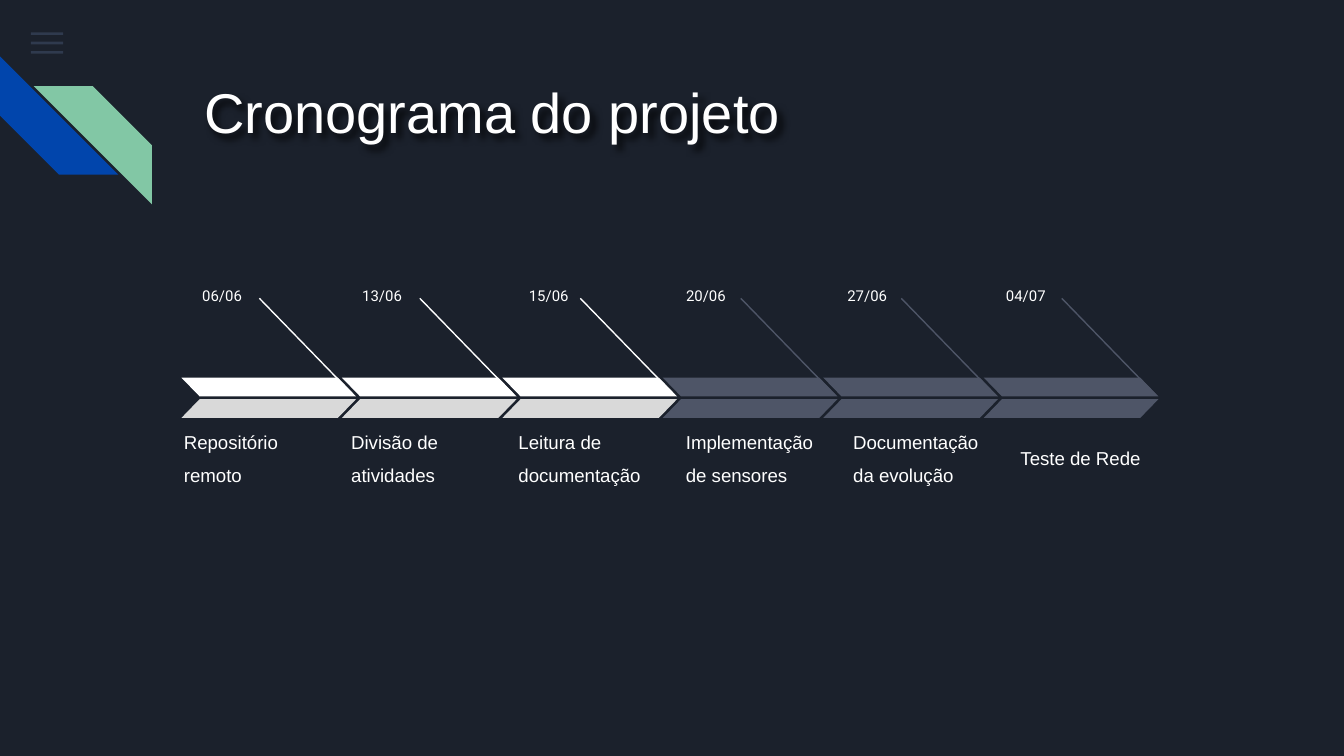
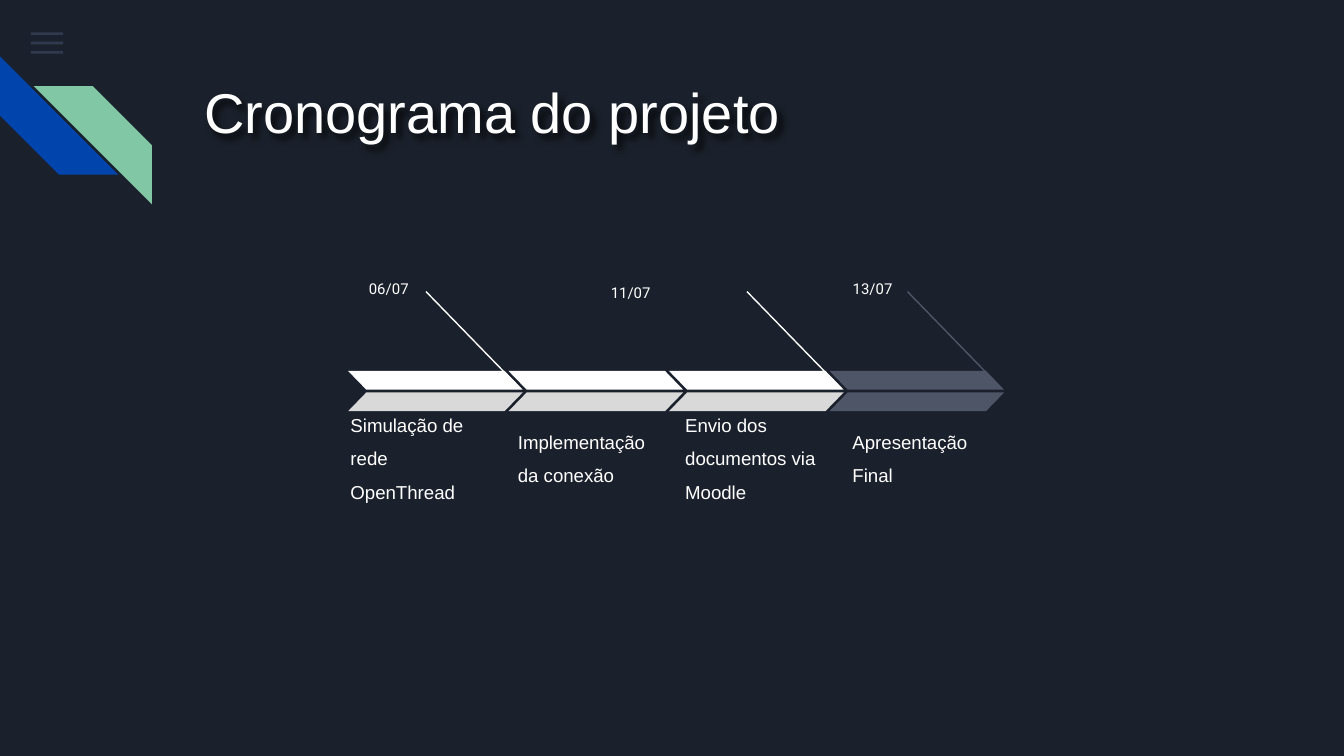
import lxml.etree
import pptx
import pptx.dml.color
import pptx.enum.shapes
import pptx.enum.text
import pptx.oxml.ns
import pptx.util

Color = pptx.dml.color.RGBColor
Kind = pptx.enum.shapes.MSO_SHAPE
Align = pptx.enum.text.PP_ALIGN
Anchor = pptx.enum.text.MSO_ANCHOR
qn = pptx.oxml.ns.qn

NIGHT = Color(0x1B, 0x21, 0x2C)
STEEL = Color(0x55, 0x68, 0x8B)
BLUE = Color(0x01, 0x45, 0xAC)
GREEN = Color(0x82, 0xC7, 0xA5)
WHITE = Color(0xFF, 0xFF, 0xFF)
PALE = Color(0xD9, 0xD9, 0xD9)
SLATE = Color(0x4E, 0x55, 0x67)

# Upper band, lower band and stem share a tone
DONE = (WHITE, PALE)
NEXT = (SLATE, SLATE)

# The slide is a grid of 100 columns by 56.25 rows
WIDE = pptx.util.Inches(10)
HIGH = pptx.util.Inches(5.625)
COLS, ROWS = 100, 56.25

STEP = 11.94  # columns from one arrow to the next
PITCH = 12.45  # columns from one label to the next


def across(cols):
    return round(WIDE * cols / COLS)


def down(rows):
    return round(HIGH * rows / ROWS)


def place(left, top, width, height):
    return across(left), down(top), across(width), down(height)


def write(frame, text, size=10, font="Arial", color=WHITE,
          align=Align.LEFT, anchor=Anchor.TOP, space=1.0):
    frame.word_wrap = True
    frame.auto_size = pptx.enum.text.MSO_AUTO_SIZE.NONE
    frame.vertical_anchor = anchor
    frame.margin_left = frame.margin_right = across(1)
    frame.margin_top = frame.margin_bottom = down(1)
    para = frame.paragraphs[0]
    para.alignment = align
    para.line_spacing = space
    run = para.add_run()
    run.text = text
    run.font.size = pptx.util.Pt(size)
    run.font.name = font
    run.font.color.rgb = color


def label(slide, box, text, **style):
    write(slide.shapes.add_textbox(*place(*box)).text_frame, text, **style)


def draw(slide, kind, box, color, flip=False, turn=0, slant=None, alpha=None):
    shape = slide.shapes.add_shape(kind, *place(*box))
    shape.shadow.inherit = False
    shape.fill.solid()
    shape.fill.fore_color.rgb = color
    shape.line.fill.background()
    shape.rotation = turn
    if slant is not None:
        shape.adjustments[0] = slant
    if flip:
        shape._element.spPr.find(qn("a:xfrm")).set("flipH", "1")
    if alpha is not None:
        tint = shape._element.spPr.find(qn("a:solidFill"))[0]
        lxml.etree.SubElement(tint, qn("a:alpha")).set("val", str(alpha * 1000))


def stem(slide, left, top, color):
    line = slide.shapes.add_connector(
        pptx.enum.shapes.MSO_CONNECTOR.STRAIGHT,
        across(left), down(top), across(left + 7), down(top + 7.2))
    line.line.color.rgb = color
    line.line.width = pptx.util.Pt(0.75)
    lxml.etree.SubElement(line._element.spPr, qn("a:effectLst"))


def corner(slide, left, top):
    # Menu bars
    for row in range(3):
        draw(slide, Kind.RECTANGLE, (left + 2.3, top + 0.7 * row, 2.4, 0.2),
             STEEL, alpha=36)
    # Crossed stripes
    draw(slide, Kind.DIAGONAL_STRIPE, (left, top + 1.8, 8.8, 8.8),
         BLUE, turn=270, slant=0.5)
    draw(slide, Kind.DIAGONAL_STRIPE, (left + 2.5, top + 4, 8.8, 8.8),
         GREEN, flip=True, slant=0.5)


def head(slide, box, text):
    title = slide.shapes.title
    title.left, title.top, title.width, title.height = place(*box)
    write(title.text_frame, text, size=30, space=1.1)
    # Soft shadow behind the letters
    title.fill.background()
    glow = lxml.etree.SubElement(title._element.spPr, qn("a:effectLst"))
    shade = lxml.etree.SubElement(glow, qn("a:outerShdw"), blurRad="50800",
                                  dist="38100", dir="2700000", algn="tl")
    tint = lxml.etree.SubElement(shade, qn("a:srgbClr"), val="000000")
    lxml.etree.SubElement(tint, qn("a:alpha"), val="80000")


def track(slide, left, top, tall, steps, dates):
    # Stems and arrows
    for spot, (text, tone, stalk) in enumerate(steps):
        edge = left + STEP * spot
        if stalk:
            stem(slide, edge + 5.8, top, tone[0])
        for band, color in enumerate(tone):
            draw(slide, Kind.PARALLELOGRAM,
                 (edge, top + 5.9 + 1.6 * band, 13, 1.4),
                 color, flip=band == 0, slant=0.97)
    # Step names
    for spot, (text, tone, stalk) in enumerate(steps):
        label(slide, (left - 0.8 + PITCH * spot, top + 9.3, 12.4, tall), text,
              anchor=Anchor.MIDDLE, space=1.5)
    # Dates, each with its column and its drop in rows
    for text, col, drop in dates:
        label(slide, (left + col, top - 1.9 + drop, 5.9, 2.3), text,
              size=8, font="Roboto", align=Align.RIGHT)


def page(deck, left, top, tall, steps, dates):
    slide = deck.slides.add_slide(deck.slide_layouts[5])
    corner(slide, 0, 2.4)
    head(slide, (14.2, 4.3, 77, 10), "Cronograma do projeto")
    track(slide, left, top, tall, steps, dates)


def main():
    deck = pptx.Presentation()
    deck.slide_width, deck.slide_height = WIDE, HIGH
    back = deck.slide_master.background.fill
    back.solid()
    back.fore_color.rgb = NIGHT

    page(deck, 13.5, 22.2, 4.4, [
        ("Repositório remoto", DONE, True),
        ("Divisão de atividades", DONE, True),
        ("Leitura de documentação", DONE, True),
        ("Implementação de sensores", NEXT, True),
        ("Documentação da evolução", NEXT, True),
        ("Teste de Rede", NEXT, True),
    ], [
        ("06/06", -0.4, 0), ("13/06", 11.5, 0), ("15/06", 23.9, 0),
        ("20/06", 35.6, 0), ("27/06", 47.6, 0), ("04/07", 59.4, 0),
    ])
    page(deck, 25.9, 21.7, 5.4, [
        ("Simulação de rede OpenThread", DONE, True),
        ("Implementação da conexão", DONE, False),
        ("Envio dos documentos via Moodle", DONE, True),
        ("Apresentação Final", NEXT, True),
    ], [
        ("06/07", -0.4, 0), ("11/07", 17.6, 0.3), ("13/07", 35.6, 0),
    ])
    deck.save("out.pptx")


if __name__ == "__main__":
    main()
